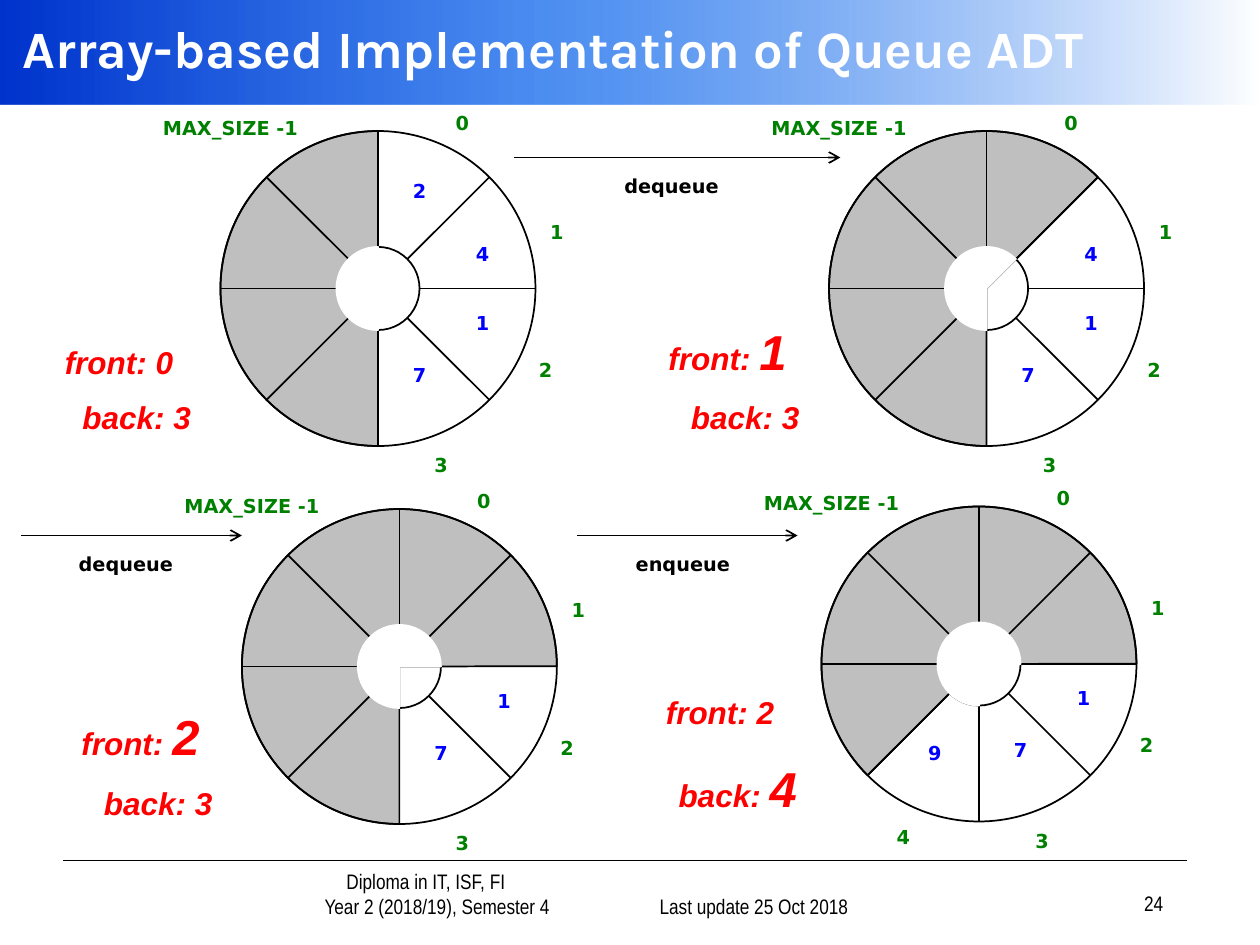
"""Draw four states of a circular queue held in an array."""
from dataclasses import dataclass
from math import cos, radians, sin
from typing import Any

from lxml import etree
from pptx import Presentation
from pptx import util as u
from pptx.dml.color import RGBColor
from pptx.enum import shapes, text
from pptx.oxml import ns

RIM, HUB = 1.25, 0.33
BLACK, WHITE, GRAY = "000000", "FFFFFF", "BFBFBF"
GREEN, BLUE, RED = "008000", "0000FF", "FF0000"
TAG = {"name": "DejaVu Sans", "size": u.Pt(11), "bold": True}
STATE = {"name": "Arial", "bold": True, "italic": True}
FOOT = {"name": "Arial Narrow", "size": u.Pt(12)}
HEAD = {"name": "Karla", "size": u.Pt(30), "bold": True}
MID, RIGHT = text.PP_ALIGN.CENTER, text.PP_ALIGN.RIGHT
TAGS = {"MAX_SIZE -1": (-1.17, -1.42), "0": (0.67, -1.46), "1": (1.42, -0.59),
        "2": (1.33, 0.5), "3": (0.5, 1.26), "4": (-0.6, 1.23)}
CELLS = [(0.33, -0.92), (0.83, -0.42), (0.83, 0.13), (0.33, 0.54), (-0.35, 0.56)]


@dataclass
class Wheel:
    """One queue state: centre, grey arc, cell values and indices."""
    x: float
    y: float
    start: float
    end: float
    items: dict[int, str]
    front: tuple[str, int]
    back: tuple[str, int]
    top: float
    high: float


@dataclass
class Step:
    """An arrow with the name of the operation below it."""
    x: float
    y: float
    wide: float
    name: str
    left: float


WHEELS = [
    Wheel(3, 2.29, 90, 270, {0: "2", 1: "4", 2: "1", 3: "7"}, ("0", 18), ("3", 18), 2.67, 0.86),
    Wheel(7.83, 2.29, 90, 315, {1: "4", 2: "1", 3: "7"}, ("1", 28), ("3", 18), 2.5, 1.03),
    Wheel(3.17, 5.29, 90, 359.9, {2: "1", 3: "7"}, ("2", 28), ("3", 18), 5.56, 1.03),
    Wheel(7.77, 5.27, 135, 359.9, {2: "1", 3: "7", 4: "9"}, ("2", 18), ("4", 28), 5.45, 1.11),
]
STEPS = [Step(4.08, 1.25, 2.59, "dequeue", 4.33), Step(0.17, 4.25, 1.75, "dequeue", 0),
         Step(4.58, 4.25, 1.75, "enqueue", 4.42)]


def tint(code: str) -> RGBColor:
    """Turn a hex string into a colour."""
    return RGBColor.from_string(code)


def style(font: Any, look: dict[str, Any], hue: str) -> None:
    """Apply format values and a colour to a font."""
    for key, val in look.items():
        setattr(font, key, val)
    font.color.rgb = tint(hue)


def write(para: Any, words: str, look: dict[str, Any], hue: str) -> None:
    """Add a formatted run."""
    run = para.add_run()
    run.text = words
    style(run.font, look, hue)


def indent(para: Any, size: float) -> None:
    """Set the left margin of a paragraph."""
    para._p.get_or_add_pPr().set("marL", str(u.Inches(size)))


def frame(to: Any, x: float, y: float, wide: float, high: float) -> Any:
    """Add a wrapping text box and return its text frame."""
    body = to.add_textbox(*map(u.Inches, (x, y, wide, high))).text_frame
    body.word_wrap = True
    return body


def label(to: Any, words: str, x: float, y: float, hue: str, wide: float = 1) -> None:
    """Add a small bold label centred on x."""
    body = frame(to, x - wide / 2, y, wide, 0.29)
    body.auto_size = text.MSO_AUTO_SIZE.SHAPE_TO_FIT_TEXT
    para = body.paragraphs[0]
    para.alignment = MID
    write(para, words, TAG, hue)


def line(to: Any, x: float, y: float, x2: float, y2: float, arrow: bool = False) -> None:
    """Add a thin black line, with an arrowhead if asked."""
    rule = to.add_connector(shapes.MSO_CONNECTOR.STRAIGHT, *map(u.Inches, (x, y, x2, y2)))
    rule.line.width = u.Pt(1)
    rule.line.color.rgb = tint(BLACK)
    etree.SubElement(rule._element.spPr, ns.qn("a:effectLst"))
    if arrow:
        etree.SubElement(rule.line._get_or_add_ln(), ns.qn("a:tailEnd"), type="arrow")


def disc(to: Any, x: float, y: float, size: float, hue: str = "", edge: str = BLACK,
         arc: tuple[float, float] | None = None) -> None:
    """Add a circle, or a pie when an arc in degrees is given."""
    kind = shapes.MSO_SHAPE.PIE if arc else shapes.MSO_SHAPE.OVAL
    item = to.add_shape(kind, *map(u.Inches, (x - size, y - size, 2 * size, 2 * size)))
    item.shadow.inherit = False
    item.line.width = u.Pt(1)
    item.line.color.rgb = tint(edge)
    if hue:
        item.fill.solid()
        item.fill.fore_color.rgb = tint(hue)
    else:
        item.fill.background()
    for num, deg in enumerate(arc or ()):
        item.adjustments[num] = deg * 0.6


def status(to: Any, ring: Wheel) -> None:
    """Write the front and back indices beside a wheel."""
    body = frame(to, ring.x - 3.47, ring.top, 2.83, ring.high)
    body.auto_size = text.MSO_AUTO_SIZE.SHAPE_TO_FIT_TEXT
    front, back = body.paragraphs[0], body.add_paragraph()
    for para, name, (val, size) in ((front, "front: ", ring.front), (back, "back: ", ring.back)):
        para.alignment = MID
        write(para, name, STATE | {"size": u.Pt(18)}, RED)
        write(para, val, STATE | {"size": u.Pt(size)}, RED)
    back.space_before = u.Pt(round(ring.back[1] * 0.575, 1))
    indent(back, 0.28)


def wheel(to: Any, ring: Wheel) -> None:
    """Draw a wheel with its spokes, indices and values."""
    x, y = ring.x, ring.y
    disc(to, x, y, HUB)
    disc(to, x, y, RIM, GRAY, arc=(ring.start, ring.end))
    disc(to, x, y, RIM)
    for deg in range(0, 360, 45):
        dx, dy = cos(radians(deg)), sin(radians(deg))
        line(to, x + RIM * dx, y + RIM * dy, x + HUB * dx, y + HUB * dy)
    disc(to, x, y, HUB, WHITE, WHITE, (90, ring.end))
    for name, (dx, dy) in TAGS.items():
        if name != "4" or 4 in ring.items:
            label(to, name, x + dx, y + dy, GREEN, 2 if len(name) > 1 else 1)
    for num, val in ring.items.items():
        dx, dy = CELLS[num]
        label(to, val, x + dx, y + dy, BLUE)
    status(to, ring)


def banner(slide: Any) -> None:
    """Draw the gradient bar and set the title on it."""
    bar = slide.shapes.add_shape(shapes.MSO_SHAPE.RECTANGLE, 0, 0, u.Inches(10), u.Inches(0.83))
    bar.shadow.inherit = False
    bar.line.fill.background()
    bar.fill.gradient()
    bar.fill.gradient_angle = 0
    stops = bar._element.spPr.find(".//" + ns.qn("a:gsLst"))
    stops[:] = []
    for pos, hue, alpha in ((0, "0033CC", 100), (43, "005EEB", 70), (100, WHITE, 100)):
        stop = etree.SubElement(stops, ns.qn("a:gs"), pos=str(pos * 1000))
        shade = etree.SubElement(stop, ns.qn("a:srgbClr"), val=hue)
        etree.SubElement(shade, ns.qn("a:alpha"), val=str(alpha * 1000))
    title = slide.shapes.title
    spot = {"left": 0.08, "top": 0, "width": 10.75, "height": 0.75}
    for key, val in spot.items():
        setattr(title, key, u.Inches(val))
    body = title.text_frame
    body.vertical_anchor = text.MSO_ANCHOR.MIDDLE
    body.paragraphs[0].alignment = text.PP_ALIGN.LEFT
    write(body.paragraphs[0], "Array-based Implementation of Queue ADT", HEAD, WHITE)
    slide.shapes._spTree.append(title._element)


def footer(to: Any) -> None:
    """Draw the footer rule and its three texts."""
    line(to, 0.5, 6.83, 9.42, 6.83)
    notes = [(1.68, 6.92, 2.9, MID, {"Diploma in IT, ISF, FI": 0.5, "Year 2 (2018/19), Semester 4": 0.68}),
             (4.75, 6.92, 2.08, RIGHT, {"Last update 25 Oct 2018": 0}),
             (7.25, 6.9, 2.08, RIGHT, {"24": 0})]
    for x, y, wide, align, rows in notes:
        body = frame(to, x, y, wide, 0.42)
        body.vertical_anchor = text.MSO_ANCHOR.BOTTOM
        for num, (words, margin) in enumerate(rows.items()):
            para = body.add_paragraph() if num else body.paragraphs[0]
            para.alignment = align
            indent(para, margin)
            write(para, words, FOOT, BLACK)


def main() -> None:
    """Build and save the slide."""
    deck = Presentation()
    deck.slide_width, deck.slide_height = u.Inches(10), u.Inches(7.5)
    slide = deck.slides.add_slide(deck.slide_layouts[5])
    banner(slide)
    footer(slide.shapes)
    for ring in WHEELS:
        wheel(slide.shapes.add_group_shape().shapes, ring)
    for step in STEPS:
        line(slide.shapes, step.x, step.y, step.x + step.wide, step.y, True)
        label(slide.shapes, step.name, step.left + 1, step.y + 0.08, BLACK, 2)
    deck.save("out.pptx")


if __name__ == "__main__":
    main()
